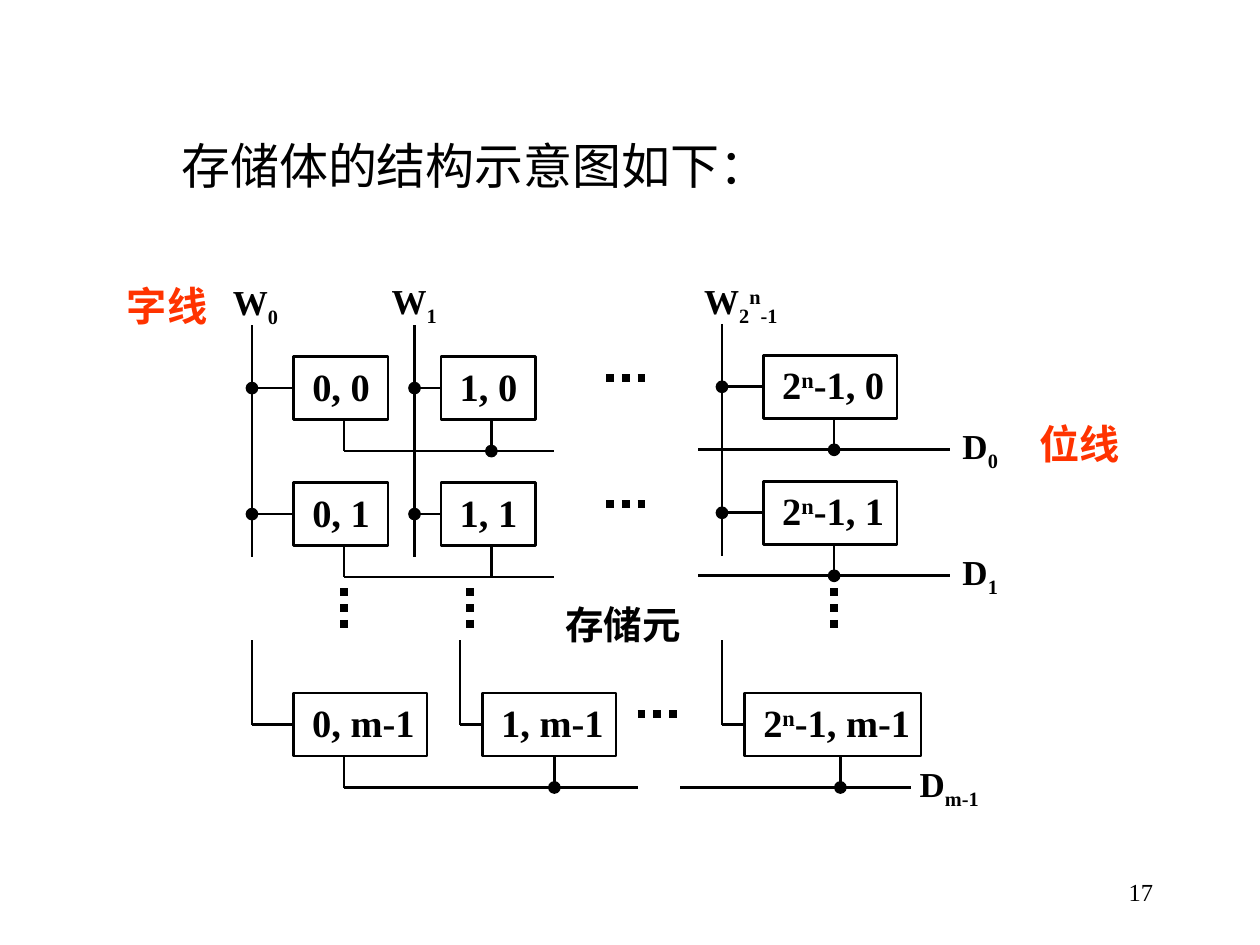
from lxml import etree
from pptx import Presentation
from pptx.dml.color import RGBColor
from pptx.enum.dml import MSO_LINE
from pptx.enum.shapes import MSO_CONNECTOR, MSO_SHAPE
from pptx.enum.text import MSO_ANCHOR, MSO_AUTO_SIZE, PP_ALIGN
from pptx.oxml.ns import qn
from pptx.util import Inches, Pt

BLACK = RGBColor(0x00, 0x00, 0x00)
ORANGE = RGBColor(0xFF, 0x33, 0x00)
FONT = "Times New Roman"
STRAIGHT = MSO_CONNECTOR.STRAIGHT
RECTANGLE, OVAL = MSO_SHAPE.RECTANGLE, MSO_SHAPE.OVAL
DOTTED = MSO_LINE.ROUND_DOT
FIT_TEXT, FIXED_SIZE = MSO_AUTO_SIZE.SHAPE_TO_FIT_TEXT, MSO_AUTO_SIZE.NONE
MIDDLE = MSO_ANCHOR.MIDDLE
LEFT, RIGHT = PP_ALIGN.LEFT, PP_ALIGN.RIGHT
SUB, SUPER = -25, 30
DOT_SIZE = 0.08
CELL_HEIGHT = 0.5
STEM = 0.25


def add_label(page, left, top, width, height, spans, size,
              color=BLACK, bold=True, align=LEFT):
    """Add one unwrapped line made of (text, baseline percent) spans."""
    box = page.shapes.add_textbox(Inches(left), Inches(top), Inches(width), Inches(height))
    box.text_frame.word_wrap = False
    box.text_frame.auto_size = FIT_TEXT
    para = box.text_frame.paragraphs[0]
    para.alignment = align
    para.font.name = FONT
    para.font.size = Pt(size)
    para.font.bold = bold
    para.font.color.rgb = color
    for text, baseline in spans:
        span = para.add_run()
        span.text = text
        if baseline:
            span._r.get_or_add_rPr().set("baseline", str(baseline * 1000))
    return box


def add_wire(page, x1, y1, x2, y2, width=1.5):
    """Add a straight black line without a shadow."""
    wire = page.shapes.add_connector(STRAIGHT, Inches(x1), Inches(y1), Inches(x2), Inches(y2))
    wire.line.color.rgb = BLACK
    wire.line.width = Pt(width)
    etree.SubElement(wire._element.spPr, qn("a:effectLst"))
    return wire


def add_ellipsis(page, x1, y1, x2, y2):
    """Add a thick dotted line that stands for omitted cells."""
    add_wire(page, x1, y1, x2, y2, 4.5).line.dash_style = DOTTED


def add_outline(page, kind, left, top, width, height):
    """Add an unfilled shape with a black outline."""
    shape = page.shapes.add_shape(kind, Inches(left), Inches(top), Inches(width), Inches(height))
    shape.shadow.inherit = False
    shape.fill.background()
    shape.line.color.rgb = BLACK
    shape.line.width = Pt(1.5)
    return shape


def add_dot(page, x, y):
    """Add a solid junction dot centred on a point."""
    dot = add_outline(page, OVAL, x - DOT_SIZE / 2, y - DOT_SIZE / 2, DOT_SIZE, DOT_SIZE)
    dot.fill.solid()
    dot.fill.fore_color.rgb = BLACK


def add_cell(page, left, top, width, label_width, spans, stem):
    """Add a memory cell, its label and the stem down to its bit line."""
    add_outline(page, RECTANGLE, left, top, width, CELL_HEIGHT)
    add_label(page, left + 0.05, top, label_width, 0.47, spans, 22)
    bottom = top + CELL_HEIGHT
    add_wire(page, stem, bottom, stem, bottom + STEM)


def add_column(page, bus, left, top, width, label_width, prefix, stem, dotted_rows):
    """Add a word line with its cells for bits 0 and 1."""
    add_wire(page, bus, top - 0.25, bus, top + 1.59)
    for row in range(2):
        cell_top = top + row
        middle = cell_top + CELL_HEIGHT / 2
        spans = prefix + [(f", {row}", 0)]
        add_cell(page, left, cell_top, width, label_width, spans, stem)
        add_wire(page, bus, middle, left, middle)
        add_dot(page, bus, middle)
        if row in dotted_rows:
            add_dot(page, stem, cell_top + CELL_HEIGHT + STEM)


def add_last_cell(page, bus, left, width, label_width, prefix, stem):
    """Add a cell of the last bit with the end of its word line."""
    add_cell(page, left, 5.5, width, label_width, prefix + [(", m-1", 0)], stem)
    add_wire(page, bus, 5.08, bus, 5.75)
    add_wire(page, bus, 5.75, left, 5.75)


def add_line_names(page):
    """Name the word lines and the bit lines."""
    add_label(page, 1.75, 2.18, 0.58, 0.48, [("W", 0), ("0", SUB)], 20)
    add_label(page, 3.01, 2.17, 0.58, 0.48, [("W", 0), ("1", SUB)], 20)
    last_word = [("W", 0), ("2", SUB), ("n", SUPER), ("-1", SUB)]
    add_label(page, 5.49, 2.17, 0.82, 0.48, last_word, 20)
    for left, top, width, index in [
        (7.54, 3.32, 0.5, "0"), (7.54, 4.32, 0.5, "1"), (7.2, 6, 0.7, "m-1"),
    ]:
        add_label(page, left, top, width, 0.48, [("D", 0), (index, SUB)], 20)
    for left, top, text in [(0.91, 2.18, "字线"), (8.15, 3.28, "位线")]:
        add_label(page, left, top, 0.84, 0.49, [(text, 0)], 23, ORANGE)


def add_page_number(page):
    """Add the page number at the lower right."""
    box = add_label(page, 7.17, 6.83, 2.08, 0.5, [("17", 0)], 14, bold=False, align=RIGHT)
    box.text_frame.auto_size = FIXED_SIZE
    box.text_frame.word_wrap = True
    box.text_frame.vertical_anchor = MIDDLE


def main():
    """Build the memory array slide."""
    deck = Presentation()
    deck.slide_width, deck.slide_height = Inches(10), Inches(7.5)
    page = deck.slides.add_slide(deck.slide_layouts[6])
    add_label(page, 1.34, 1.03, 4.88, 0.57, [("存储体的结构示意图如下：", 0)], 28, bold=False)

    first, second = [("0", 0)], [("1", 0)]
    last = [("2", 0), ("n", SUPER), ("-1", 0)]
    add_column(page, 2, 2.33, 2.83, 0.75, 0.68, first, 2.73, ())
    add_column(page, 3.29, 3.5, 2.83, 0.75, 0.68, second, 3.9, (0,))
    add_column(page, 5.73, 6.06, 2.82, 1.06, 1.04, last, 6.62, (0, 1))
    add_last_cell(page, 2, 2.33, 1.06, 1.04, first, 2.73)
    add_last_cell(page, 3.65, 3.83, 1.06, 1.04, second, 4.4)
    add_last_cell(page, 5.73, 5.91, 1.4, 1.4, last, 6.67)

    for start, end, y in [
        (2.73, 4.4, 3.58), (2.73, 4.4, 4.58), (5.54, 7.54, 3.57),
        (5.54, 7.54, 4.57), (2.73, 5.06, 6.25), (5.4, 7.23, 6.25),
    ]:
        add_wire(page, start, y, end, y)
    for x in (4.4, 6.67):
        add_dot(page, x, 6.25)

    for x in (2.73, 3.73, 6.62):
        add_ellipsis(page, x, 4.67, x, 5)
    for x, y in [(4.81, 3), (4.81, 4), (5.06, 5.67)]:
        add_ellipsis(page, x, y, x + 0.34, y)

    add_line_names(page)
    add_label(page, 4.39, 4.72, 1.15, 0.47, [("存储元", 0)], 22)
    add_page_number(page)
    deck.save("out.pptx")


if __name__ == "__main__":
    main()
